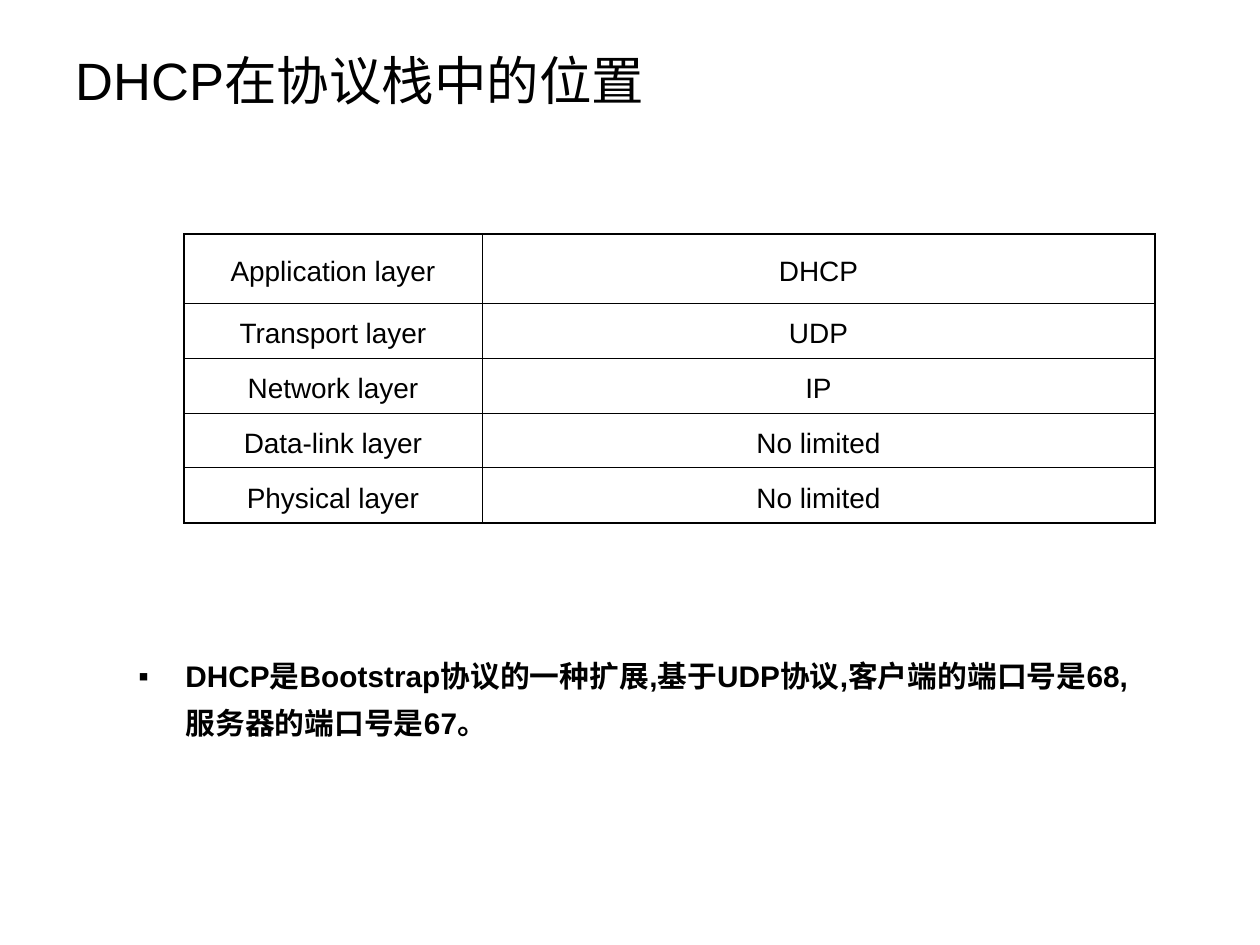
from lxml.etree import SubElement
from pptx import Presentation
from pptx.dml.color import RGBColor
from pptx.enum.text import MSO_ANCHOR as Anchor, PP_ALIGN as Align
from pptx.oxml.ns import qn
from pptx.util import Pt

PX = 914400 / 126
BLACK = "000000"
THICK, THIN = 1.08, 0.45
LAYERS = [
    ("Application layer", "DHCP"),
    ("Transport layer", "UDP"),
    ("Network layer", "IP"),
    ("Data-link layer", "No limited"),
    ("Physical layer", "No limited"),
]


def px(length):
    """Turn pixels into EMU."""
    return round(length * PX)


def color(hex_code):
    """Turn a hex string into a colour."""
    return RGBColor.from_string(hex_code)


def add_run(paragraph, text, size, bold=False):
    """Add one formatted run to a paragraph."""
    run = paragraph.add_run()
    run.text = text
    run.font.name = "Arial"
    run.font.size = Pt(size)
    run.font.bold = bold
    run.font.color.rgb = color(BLACK)


def place(shape, box):
    """Move a shape to a box of left, top, width and height."""
    shape.left, shape.top, shape.width, shape.height = map(px, box)


def add_bullet(paragraph, mark, margin, hang):
    """Give a paragraph a hanging bullet."""
    props = paragraph._p.get_or_add_pPr()
    props.set("marL", str(px(margin)))
    props.set("indent", str(-px(hang)))
    tint = SubElement(props, qn("a:buClr"))
    SubElement(tint, qn("a:srgbClr"), val=BLACK)
    SubElement(props, qn("a:buFont"), typeface="Arial")
    SubElement(props, qn("a:buChar"), char=mark)


def set_borders(cell, widths):
    """Draw the left, right, top and bottom borders of a cell."""
    props = cell._tc.get_or_add_tcPr()
    for index, (side, width) in enumerate(zip("LRTB", widths)):
        line = props.makeelement(qn(f"a:ln{side}"), {"w": str(Pt(width))})
        fill = SubElement(line, qn("a:solidFill"))
        SubElement(fill, qn("a:srgbClr"), val=BLACK)
        props.insert(index, line)


def build_title(slide, box):
    """Fill the title placeholder."""
    title = slide.shapes.title
    place(title, box)
    frame = title.text_frame
    frame.vertical_anchor = Anchor.MIDDLE
    heading = frame.paragraphs[0]
    heading.alignment = Align.LEFT
    add_run(heading, "DHCP在协议栈中的位置", 30)


def build_layer_table(slide, box):
    """Add the table of protocol layers."""
    left, top, width, height = box
    name_width, row_height = 298, 55
    last_row = len(LAYERS) - 1
    table = slide.shapes.add_table(len(LAYERS), 2, *map(px, box)).table
    table.first_row = table.horz_banding = False
    table.columns[0].width = px(name_width)
    table.columns[1].width = px(width - name_width)
    for r, layer in enumerate(LAYERS):
        table.rows[r].height = px(row_height if r else height - row_height * last_row)
        for c, text in enumerate(layer):
            cell = table.cell(r, c)
            cell.fill.background()
            cell.vertical_anchor = Anchor.MIDDLE
            label = cell.text_frame.paragraphs[0]
            label.alignment = Align.CENTER
            label.line_spacing = 1.2
            label.space_after = Pt(4)
            add_run(label, text, 16)
            outer = (c == 0, c == 1, r == 0, r == last_row)
            set_borders(cell, [THICK if edge else THIN for edge in outer])


def build_note(slide, box):
    """Add the bulleted note on the ports."""
    frame = slide.shapes.add_textbox(*map(px, box)).text_frame
    frame.word_wrap = True
    note = frame.paragraphs[0]
    note.line_spacing = 1.3
    add_bullet(note, "▪", 60, 47)
    add_run(note, "DHCP是Bootstrap协议的一种扩展,基于UDP协议,客户端的端口号是68,服务器的端口号是67。", 17, bold=True)


def main():
    """Build the slide and save it."""
    deck = Presentation()
    deck.slide_width, deck.slide_height = px(1260), px(945)
    slide = deck.slides.add_slide(deck.slide_layouts[5])
    build_title(slide, (63, 26, 1033, 107))
    build_layer_table(slide, (184, 234, 971, 289))
    build_note(slide, (113, 641, 1042, 102))
    deck.save("out.pptx")


if __name__ == "__main__":
    main()
